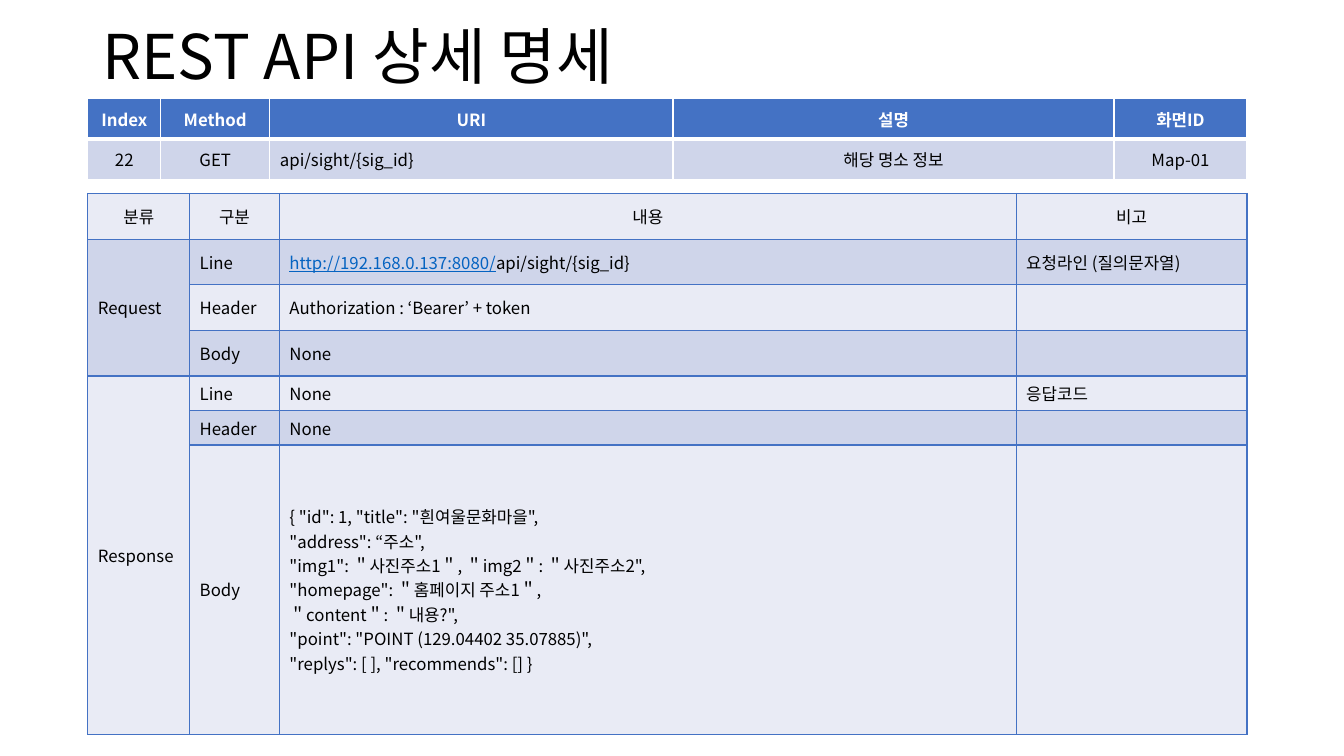
from lxml import etree
from pptx import Presentation
from pptx.dml.color import RGBColor
from pptx.enum.text import MSO_ANCHOR, MSO_AUTO_SIZE, PP_ALIGN
from pptx.oxml.ns import qn
from pptx.util import Pt

LEFT, CENTER = PP_ALIGN.LEFT, PP_ALIGN.CENTER
MIDDLE = MSO_ANCHOR.MIDDLE
NO_FIT = MSO_AUTO_SIZE.NONE
FACE = "Noto Sans CJK KR"
BLACK = RGBColor(0x00, 0x00, 0x00)
WHITE = RGBColor(0xFF, 0xFF, 0xFF)
BLUE = RGBColor(0x44, 0x72, 0xC4)
BAND = RGBColor(0xCF, 0xD5, 0xEA)
PALE = RGBColor(0xE9, 0xEB, 0xF5)
LINK = RGBColor(0x05, 0x63, 0xC1)


def style(para, size, color, align, bold=False):
    para.alignment = align
    font = para.font
    font.name, font.size, font.bold = FACE, Pt(size), bold
    font.color.rgb = color
    base = para._p.pPr.find(qn("a:defRPr"))
    etree.SubElement(base, qn("a:ea"), typeface=FACE)
    if not para.runs:
        etree.SubElement(para._p, qn("a:endParaRPr"), sz=str(size * 100))


def grid(top, widths, heights, texts, head, ink, edge, thick, mids):
    frame = slide.shapes.add_table(
        len(heights), len(widths), Pt(62.8), Pt(top), Pt(sum(widths)), Pt(sum(heights)))
    table = frame.table
    table.first_row = table.horz_banding = False
    for col, width in zip(table.columns, widths):
        col.width = Pt(width)
    for r, (row, height) in enumerate(zip(table.rows, heights)):
        row.height = Pt(height)
        for c, cell in enumerate(row.cells):
            cell.text = texts[r][c]
            cell.vertical_anchor = MIDDLE
            for para in cell.text_frame.paragraphs:
                style(para, 12, ink if r == 0 else BLACK,
                      CENTER if r == 0 or c in mids else LEFT, r == 0 and ink == WHITE)
            props = cell._tc.get_or_add_tcPr()
            for side in ("lnL", "lnR", "lnT", "lnB"):
                wide = thick if (r, side) in ((0, "lnB"), (1, "lnT")) else 1
                line = etree.SubElement(props, qn("a:" + side), w=str(Pt(wide)))
                fill = etree.SubElement(line, qn("a:solidFill"))
                etree.SubElement(fill, qn("a:srgbClr"), val=str(edge))
            cell.fill.solid()
            cell.fill.fore_color.rgb = head if r == 0 else BAND if r % 2 else PALE
    return table


deck = Presentation()
deck.slide_width, deck.slide_height = Pt(960), Pt(540)
slide = deck.slides.add_slide(deck.slide_layouts[5])

title = slide.shapes.title
title.left, title.top, title.width, title.height = Pt(66), Pt(-10), Pt(828), Pt(104.4)
title.text_frame.text = "REST API 상세 명세"
title.text_frame.auto_size = NO_FIT
title.text_frame.vertical_anchor = MIDDLE
name = title.text_frame.paragraphs[0]
name.line_spacing = 0.9
style(name, 44, BLACK, LEFT)

grid(70.2, [52, 78, 288, 315, 95], [29.2, 29.2], [
    ["Index", "Method", "URI", "설명", "화면ID"],
    ["22", "GET", "api/sight/{sig_id}", "해당 명소 정보", "Map-01"],
], BLUE, WHITE, WHITE, 3, (0, 1, 3, 4))

BODY = """{ "id": 1, "title": "흰여울문화마을",
"address": “주소",
"img1": ＂사진주소1＂, ＂img2＂: ＂사진주소2",
"homepage": ＂홈페이지 주소1＂,
＂content＂: ＂내용?",
"point": "POINT (129.04402 35.07885)",
"replys": [ ], "recommends": [] }"""

detail = grid(138.2, [72.7, 64.1, 526.3, 164.9], [32.6] * 4 + [24.6] * 2 + [206.6], [
    ["분류", "구분", "내용", "비고"],
    ["Request", "Line", "", "요청라인 (질의문자열)"],
    ["", "Header", "Authorization : ‘Bearer’ + token", ""],
    ["", "Body", "None", ""],
    ["Response", "Line", "None", "응답코드"],
    ["", "Header", "None", ""],
    ["", "Body", BODY, ""],
], PALE, BLACK, BLUE, 1, ())
for first in (1, 4):
    detail.cell(first, 0).merge(detail.cell(first + 2, 0))

para = detail.cell(1, 2).text_frame.paragraphs[0]
host = para.add_run()
host.text = "http://192.168.0.137:8080/"
host.font.underline = True
host.font.color.rgb = LINK
para.add_run().text = "api/sight/{sig_id}"

deck.save("out.pptx")
